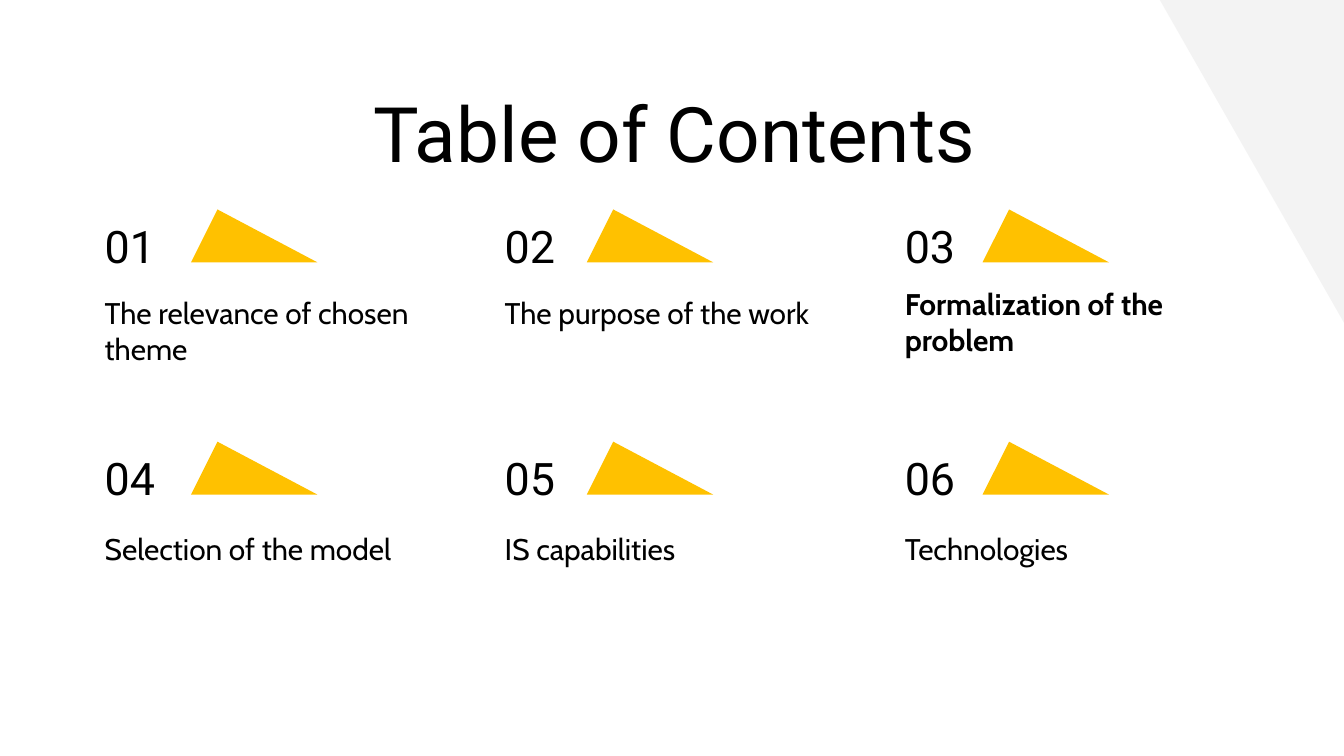
from pptx import Presentation
from pptx.dml.color import RGBColor as RGB
from pptx.enum.shapes import MSO_SHAPE as SHAPE
from pptx.enum.text import MSO_ANCHOR as ANCHOR, PP_ALIGN as ALIGN
from pptx.util import Cm, Pt

COLORS = {"text": "000000", "accent": "FFC100", "corner": "F3F3F3"}


def add_shape(kind, x, y, w, h, color):
    sp = s.shapes.add_shape(kind, Cm(x), Cm(y), Cm(w), Cm(h))
    sp.shadow.inherit = False
    sp.fill.solid()
    sp.fill.fore_color.rgb = RGB.from_string(COLORS[color])
    sp.line.fill.background()
    return sp


def add_text(text, x, y, w, h, font, align=ALIGN.LEFT, anchor=ANCHOR.TOP):
    tf = s.shapes.add_textbox(Cm(x), Cm(y), Cm(w), Cm(h)).text_frame
    frame = {"word_wrap": True, "vertical_anchor": anchor}
    for side in ("left", "top", "right", "bottom"):
        frame["margin_" + side] = Cm(0.25)
    for name, value in frame.items():
        setattr(tf, name, value)
    p = tf.paragraphs[0]
    p.alignment = align
    r = p.add_run()
    r.text = text
    for name, value in font.items():
        setattr(r.font, name, value)
    r.font.color.rgb = RGB.from_string(COLORS["text"])


prs = Presentation()
prs.slide_width, prs.slide_height = Cm(25.4), Cm(14.29)
s = prs.slides.add_slide(prs.slide_layouts[6])

TITLE = {"name": "Roboto", "size": Pt(41)}
NUMBER = {"name": "Roboto", "size": Pt(24)}
LABEL = {"name": "Cabin", "size": Pt(16), "bold": False}

corner = add_shape(SHAPE.RIGHT_TRIANGLE, 21.92, 0, 3.48, 6.1, "corner")
corner.rotation = 180

add_text("Table of Contents", 1.5, 1.37, 22.5, 1.6, TITLE, ALIGN.CENTER)

topics = [
    "The relevance of chosen theme",
    "The purpose of the work",
    "Formalization of the problem",
    "Selection of the model",
    "IS capabilities",
    "Technologies",
]
current = 2
label_tops = [5.33, 9.78]

for i, topic in enumerate(topics):
    row, col = divmod(i, 3)
    x = 1.73 + 7.56 * col
    dy = 4.39 * row
    marker = add_shape(SHAPE.ISOSCELES_TRIANGLE, 3.61 + 7.48 * col, 3.96 + dy, 2.39, 1, "accent")
    marker.adjustments[0] = 0.21
    add_text(f"{i + 1:02}", x, 4.14 + dy, 3, 1, NUMBER, anchor=ANCHOR.MIDDLE)
    label_top = label_tops[row] - (0.17 if i == current else 0)
    add_text(topic, x, label_top, 7.21, 1, {**LABEL, "bold": i == current})

prs.save("out.pptx")
